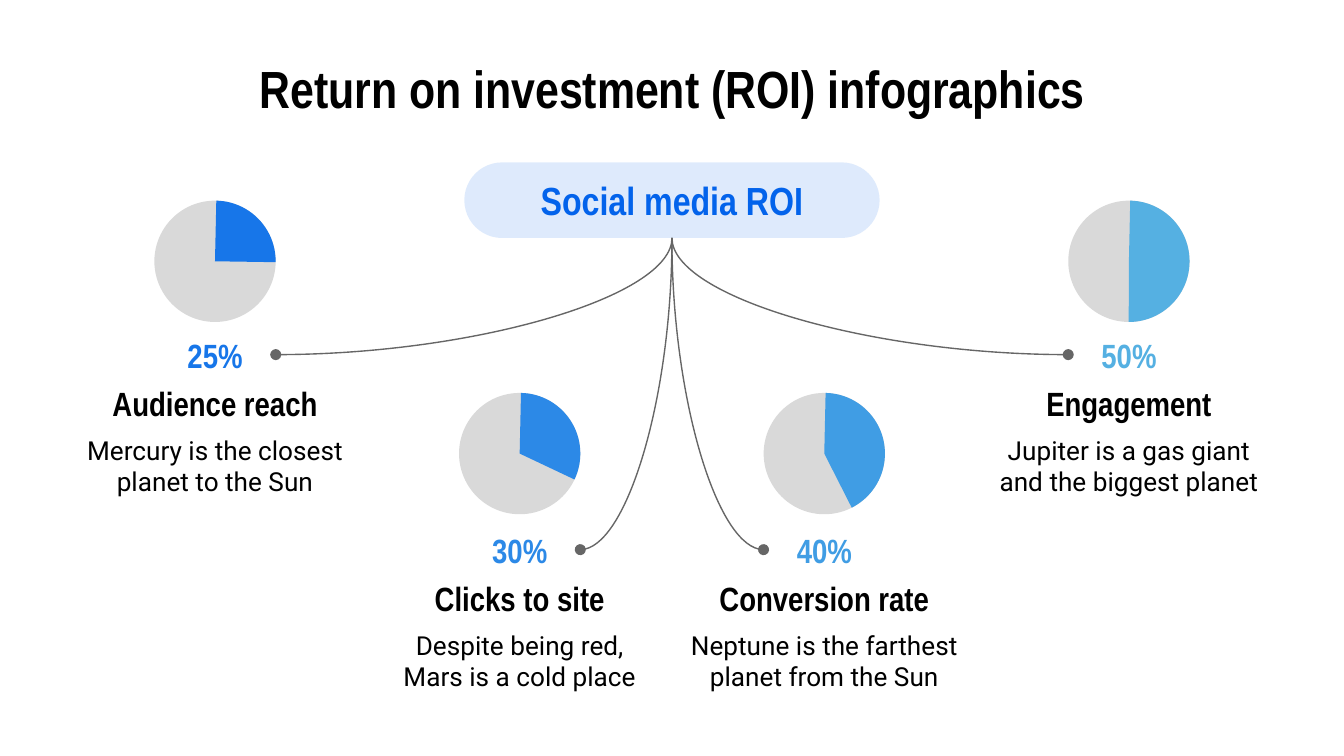
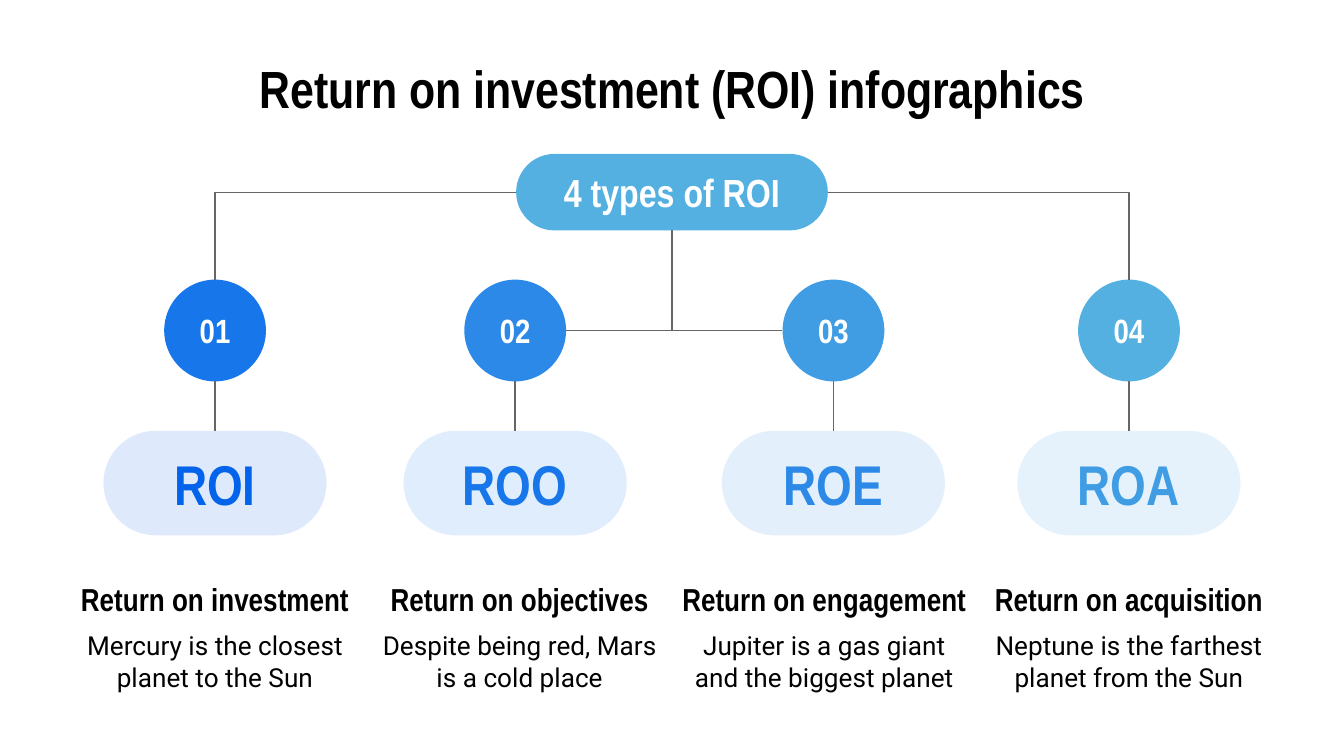
from dataclasses import dataclass

from lxml import etree
from pptx import Presentation
from pptx.dml.color import RGBColor
from pptx.enum.shapes import MSO_CONNECTOR as Link, MSO_SHAPE as Preset
from pptx.enum.text import MSO_ANCHOR as Anchor, PP_ALIGN as Align
from pptx.oxml.ns import qn
from pptx.util import Pt


@dataclass(frozen=True)
class Theme:
    heading_font: str = "Arial Narrow"
    body_font: str = "Roboto"
    black: str = "000000"
    white: str = "FFFFFF"
    gray: str = "D9D9D9"
    line: str = "666666"
    blues: tuple = ("0363EB", "1776E9", "2C89E7", "409DE4", "55B0E2")
    tint: int = 13  # opacity of pale pills, in percent
    title: int = 28
    acronym: int = 30
    hub: int = 21
    label: int = 18
    caption: int = 17
    body: int = 14
    line_width: float = 0.75


THEME = Theme()
WIDTH, HEIGHT = 720, 405
MIDDLE = WIDTH / 2
COLUMNS = [115.2 + 163.2 * i for i in range(4)]

METRICS = [  # share, sector end in degrees, name, description, pie top, text top
    ("25%", 0.85, "Audience reach", "Mercury is the closest planet to the Sun", 107.5, 177),
    ("30%", 25.31, "Clicks to site", "Despite being red, Mars is a cold place", 210.5, 281.5),
    ("40%", 63.11, "Conversion rate", "Neptune is the farthest planet from the Sun", 210.5, 281.5),
    ("50%", 90.2, "Engagement", "Jupiter is a gas giant and the biggest planet", 107.5, 177),
]
ROI_TYPES = [  # acronym, name, description, centre of circle and pill
    ("ROI", "Return on investment", "Mercury is the closest planet to the Sun", 115.2),
    ("ROO", "Return on objectives", "Despite being red, Mars is a cold place", 276),
    ("ROE", "Return on engagement", "Jupiter is a gas giant and the biggest planet", 446.5),
    ("ROA", "Return on acquisition", "Neptune is the farthest planet from the Sun", 604.8),
]


def write(shape, text, size, color, font=THEME.heading_font):
    frame = shape.text_frame
    frame.word_wrap = True
    frame.vertical_anchor = Anchor.MIDDLE
    frame.margin_left = frame.margin_right = Pt(7.2)
    frame.margin_top = frame.margin_bottom = Pt(7.2)
    paragraph = frame.paragraphs[0]
    paragraph.text = text
    paragraph.alignment = Align.CENTER
    paragraph.font.name = font
    paragraph.font.size = Pt(size)
    paragraph.font.bold = font == THEME.heading_font
    paragraph.font.color.rgb = RGBColor.from_string(color)


def add_label(slide, center, top, width, height, text, size, color=THEME.black,
              font=THEME.heading_font):
    box = slide.shapes.add_textbox(Pt(center - width / 2), Pt(top), Pt(width), Pt(height))
    write(box, text, size, color, font)


def add_filled(slide, preset, center, top, width, height, color, opacity=100):
    shape = slide.shapes.add_shape(
        preset, Pt(center - width / 2), Pt(top), Pt(width), Pt(height))
    shape.shadow.inherit = False
    shape.line.fill.background()
    shape.fill.solid()
    shape.fill.fore_color.rgb = RGBColor.from_string(color)
    if opacity < 100:
        rgb = shape.fill._xPr.find(".//" + qn("a:srgbClr"))
        etree.SubElement(rgb, qn("a:alpha"), val=str(opacity * 1000))
    return shape


def add_pill(slide, center, top, width, height, text, size, color, fill, opacity=100):
    pill = add_filled(slide, Preset.ROUNDED_RECTANGLE, center, top, width, height, fill, opacity)
    pill.adjustments[0] = 0.5
    write(pill, text, size, color)
    return pill


def add_link(slide, start, end, preset=None, dot=False):
    """Draw a connector; a one-bend preset leaves its start horizontally."""
    link = slide.shapes.add_connector(Link.STRAIGHT, *map(Pt, start + end))
    link.line.color.rgb = RGBColor.from_string(THEME.line)
    link.line.width = Pt(THEME.line_width)
    properties = link._element.spPr
    if preset:
        properties.find(qn("a:prstGeom")).set("prst", preset)
    if dot:
        etree.SubElement(link.line._get_or_add_ln(), qn("a:headEnd"), type="oval")
    etree.SubElement(properties, qn("a:effectLst"))
    return link


def add_title(slide):
    add_label(slide, MIDDLE, 32.4, 648, 29.5, "Return on investment (ROI) infographics",
              THEME.title)


def add_description(slide, center, top, width, name, size, description):
    add_label(slide, center, top, width, 26, name, size)
    add_label(slide, center, top + 27.4, width, 38, description, THEME.body,
              font=THEME.body_font)


def add_metric(slide, center, metric, color, hub_bottom):
    share, sector_end, name, description, pie_top, text_top = metric
    diameter = 65
    add_filled(slide, Preset.OVAL, center, pie_top, diameter, diameter, THEME.gray)
    sector = add_filled(slide, Preset.PIE, center, pie_top, diameter, diameter, color)
    for i, degrees in enumerate((271.25, sector_end)):
        sector.adjustments[i] = degrees * 0.6  # 60000ths of a degree over 100000
    add_label(slide, center, text_top, diameter, 26, share, THEME.label, color)
    add_description(slide, center, text_top + 26, 159, name, THEME.label, description)
    side = 1 if center < MIDDLE else -1
    add_link(slide, (center + side * diameter / 2, text_top + 13), (MIDDLE, hub_bottom),
             "curvedConnector2", dot=True)


def build_social_media(slide):
    add_title(slide)
    top, height = 87, 40.5
    add_pill(slide, MIDDLE, top, 222.5, height, "Social media ROI", THEME.hub,
             THEME.blues[0], THEME.blues[0], THEME.tint)
    for center, metric, color in zip(COLUMNS, METRICS, THEME.blues[1:]):
        add_metric(slide, center, metric, color, top + height)


def add_roi_type(slide, column, number, roi_type, top):
    acronym, name, description, center = roi_type
    diameter, pill_top = 54.5, top + 81
    pale, strong = THEME.blues[number - 1:number + 1]
    circle = add_filled(slide, Preset.OVAL, center, top, diameter, diameter, strong)
    write(circle, f"{number:02}", THEME.label, THEME.white)
    pill = add_pill(slide, center, pill_top, 119.5, 56, acronym, THEME.acronym,
                    pale, pale, THEME.tint)
    add_link(slide, (center, top + diameter), (center, pill_top)).end_connect(pill, 0)
    add_description(slide, column, top + 158, 167, name, THEME.caption, description)


def build_roi_types(slide):
    add_title(slide)
    hub_top, hub_width, hub_height = 82.5, 167, 41
    circle_top, radius = 149.8, 27.25
    for number, (column, roi_type) in enumerate(zip(COLUMNS, ROI_TYPES), 1):
        add_roi_type(slide, column, number, roi_type, circle_top)
    add_pill(slide, MIDDLE, hub_top, hub_width, hub_height, "4 types of ROI", THEME.hub,
             THEME.white, THEME.blues[4])

    first, second, third, fourth = (roi_type[-1] for roi_type in ROI_TYPES)
    for side, outer, inner in ((-1, first, second), (1, fourth, third)):
        add_link(slide, (MIDDLE + side * hub_width / 2, hub_top + hub_height / 2),
                 (outer, circle_top), "bentConnector2")
        add_link(slide, (inner - side * radius, circle_top + radius),
                 (MIDDLE, hub_top + hub_height), "bentConnector2")


def main():
    deck = Presentation()
    deck.slide_width, deck.slide_height = Pt(WIDTH), Pt(HEIGHT)
    for build in (build_social_media, build_roi_types):
        build(deck.slides.add_slide(deck.slide_layouts[6]))
    deck.save("out.pptx")


if __name__ == "__main__":
    main()
